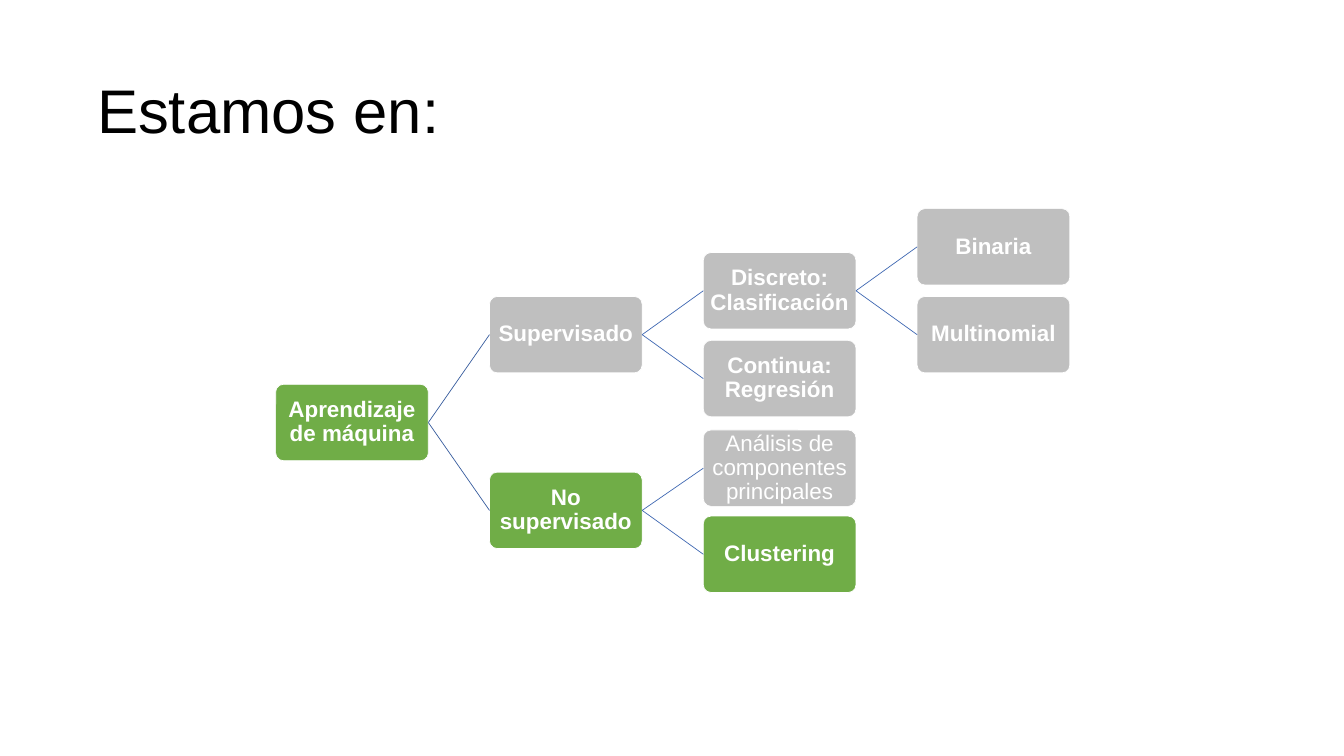
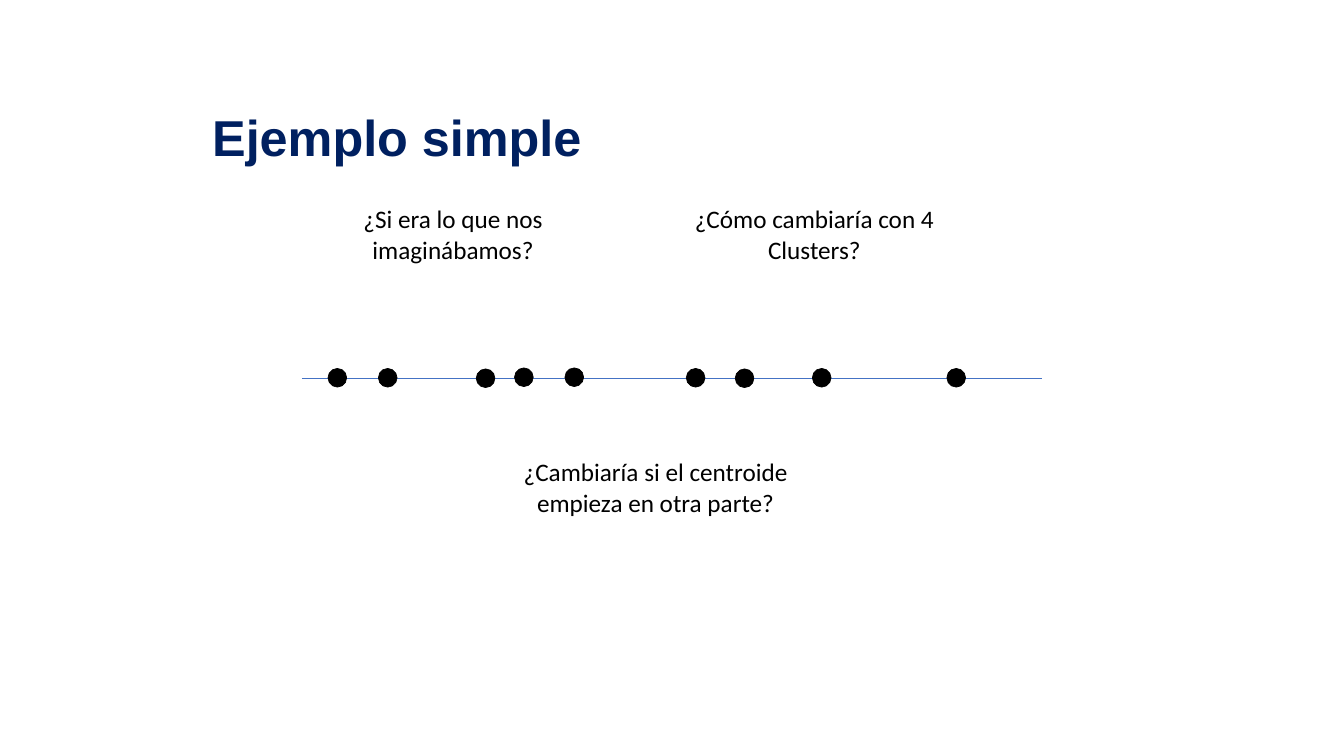
"""Builds two slides: a machine learning topic tree and a simple clustering example."""
from lxml.etree import SubElement
from pptx import Presentation
from pptx.dml.color import RGBColor
from pptx.enum.shapes import MSO_CONNECTOR, MSO_SHAPE
from pptx.enum.text import MSO_ANCHOR, MSO_AUTO_SIZE, PP_ALIGN
from pptx.oxml.ns import qn
from pptx.util import Inches, Pt

BLACK = RGBColor(0x00, 0x00, 0x00)
WHITE = RGBColor(0xFF, 0xFF, 0xFF)
GREEN = RGBColor(0x70, 0xAD, 0x47)
GRAY = RGBColor(0xBF, 0xBF, 0xBF)
NAVY = RGBColor(0x00, 0x20, 0x60)
AXIS_BLUE = RGBColor(0x44, 0x72, 0xC4)
ROOT_LINK = RGBColor(0x36, 0x5B, 0x9D)
BRANCH_LINK = RGBColor(0x3E, 0x67, 0xB2)

HEADING_FONT, BODY_FONT = "Arial", "Calibri"
LEFT_SIDE, RIGHT_SIDE = 1, 3

TREE_LEFT, TREE_TOP = 20.51, 27.6
COLUMN_STEP, ROW_STEP = 15.91, 5.81
NODE_WIDTH, NODE_HEIGHT = 11.36, 10.1
DOT_WIDTH, DOT_HEIGHT = 1.39, 2.47

ROOT = "Aprendizaje de máquina"
SUPERVISED, UNSUPERVISED = "Supervisado", "No supervisado"
DISCRETE = "Discreto: Clasificación"
TREE = [
    (ROOT, None, 0, 4, GREEN, True),
    (SUPERVISED, ROOT, 1, 2, GRAY, True),
    (DISCRETE, SUPERVISED, 2, 1, GRAY, True),
    ("Binaria", DISCRETE, 3, 0, GRAY, True),
    ("Multinomial", DISCRETE, 3, 2, GRAY, True),
    ("Continua: Regresión", SUPERVISED, 2, 3, GRAY, True),
    (UNSUPERVISED, ROOT, 1, 6, GREEN, True),
    ("Clustering", UNSUPERVISED, 2, 7, GREEN, True),
    ("Análisis de componentes principales", UNSUPERVISED, 2, 5.04, GRAY, False),
]

QUESTIONS = [
    ("¿Si era lo que nos imaginábamos?", 22.46, 26.27),
    ("¿Cómo cambiaría con 4 Clusters?", 49.34, 26.27),
    ("¿Cambiaría si el centroide empieza en otra parte?", 37.53, 59.73),
]

DOTS = [
    (25.1, 49.97), (28.85, 49.97), (36.13, 50.03),
    (38.98, 49.9), (42.73, 49.9), (51.76, 49.97),
    (55.4, 50.03), (61.14, 49.97), (71.15, 49.97),
]


class SlideBuilder:
    """Holds the deck style and current slide; lengths are percentages of the slide."""

    def __init__(self, deck):
        self.deck = deck
        self.page = None

    def new_page(self):
        self.page = self.deck.slides.add_slide(self.deck.slide_layouts[6])

    def across(self, share):
        return round(self.deck.slide_width * share / 100)

    def down(self, share):
        return round(self.deck.slide_height * share / 100)

    def area(self, left, top, width, height):
        return self.across(left), self.down(top), self.across(width), self.down(height)

    def fill_text(self, box, text, size, color, font=HEADING_FONT, bold=False,
                  align=PP_ALIGN.LEFT, spacing=1.0, anchor=MSO_ANCHOR.TOP,
                  insets=(0.2, 0.1)):
        frame = box.text_frame
        frame.word_wrap = True
        frame.vertical_anchor = anchor
        frame.margin_left = frame.margin_right = Inches(insets[0])
        frame.margin_top = frame.margin_bottom = Inches(insets[1])
        para = frame.paragraphs[0]
        para.alignment = align
        para.line_spacing = spacing
        span = para.add_run()
        span.text = text
        span.font.name = font
        span.font.size = Pt(size)
        span.font.bold = bold
        span.font.color.rgb = color

    def text(self, words, place, size, color, **style):
        box = self.page.shapes.add_textbox(*self.area(*place))
        self.fill_text(box, words, size, color, **style)
        return box

    def shape(self, preset, place, fill, outline):
        shape = self.page.shapes.add_shape(preset, *self.area(*place))
        shape.shadow.inherit = False
        shape.fill.solid()
        shape.fill.fore_color.rgb = fill
        shape.line.color.rgb = outline
        shape.line.width = Pt(1)
        return shape

    def node(self, label, column, row, fill, bold):
        place = (TREE_LEFT + column * COLUMN_STEP, TREE_TOP + row * ROW_STEP,
                 NODE_WIDTH, NODE_HEIGHT)
        node = self.shape(MSO_SHAPE.ROUNDED_RECTANGLE, place, fill, WHITE)
        node.adjustments[0] = 0.1
        self.fill_text(node, label, 32, WHITE, bold=bold, align=PP_ALIGN.CENTER,
                       spacing=0.9, anchor=MSO_ANCHOR.MIDDLE, insets=(0.03, 0.03))
        return node

    def dot(self, center_x, center_y):
        place = (center_x - DOT_WIDTH / 2, center_y - DOT_HEIGHT / 2, DOT_WIDTH, DOT_HEIGHT)
        self.shape(MSO_SHAPE.OVAL, place, BLACK, BLACK)

    def line(self, start, end, color, width):
        line = self.page.shapes.add_connector(
            MSO_CONNECTOR.STRAIGHT, self.across(start[0]), self.down(start[1]),
            self.across(end[0]), self.down(end[1]))
        line.line.color.rgb = color
        line.line.width = Pt(width)
        SubElement(line._element.spPr, qn("a:effectLst"))
        return line

    def link(self, parent, child, color):
        link = self.line((0, 0), (0, 0), color, 1)
        link.begin_connect(parent, RIGHT_SIDE)
        link.end_connect(child, LEFT_SIDE)


def build_tree(builder):
    builder.new_page()
    builder.text("Estamos en:", (6.86, 5.33, 86.24, 19.33), 88, BLACK,
                 spacing=0.9, anchor=MSO_ANCHOR.MIDDLE, insets=(0.1, 0.05))
    nodes = {}
    for label, parent, column, row, fill, bold in TREE:
        nodes[label] = builder.node(label, column, row, fill, bold)
        if parent:
            color = ROOT_LINK if parent == ROOT else BRANCH_LINK
            builder.link(nodes[parent], nodes[label], color)


def build_example(builder):
    builder.new_page()
    builder.text("Ejemplo simple", (15.04, 13.4, 67.49, 10.6), 72, NAVY,
                 bold=True, align=PP_ALIGN.JUSTIFY)
    builder.line((22.46, 50), (77.5, 50), AXIS_BLUE, 0.5)
    for center in DOTS:
        builder.dot(*center)
    for question, left, top in QUESTIONS:
        box = builder.text(question, (left, top, 22.5, 9.4), 36, BLACK,
                           font=BODY_FONT, align=PP_ALIGN.CENTER)
        box.text_frame.auto_size = MSO_AUTO_SIZE.SHAPE_TO_FIT_TEXT


def main():
    deck = Presentation()
    deck.slide_width, deck.slide_height = Inches(26.67), Inches(15)
    builder = SlideBuilder(deck)
    build_tree(builder)
    build_example(builder)
    deck.save("out.pptx")


if __name__ == "__main__":
    main()
